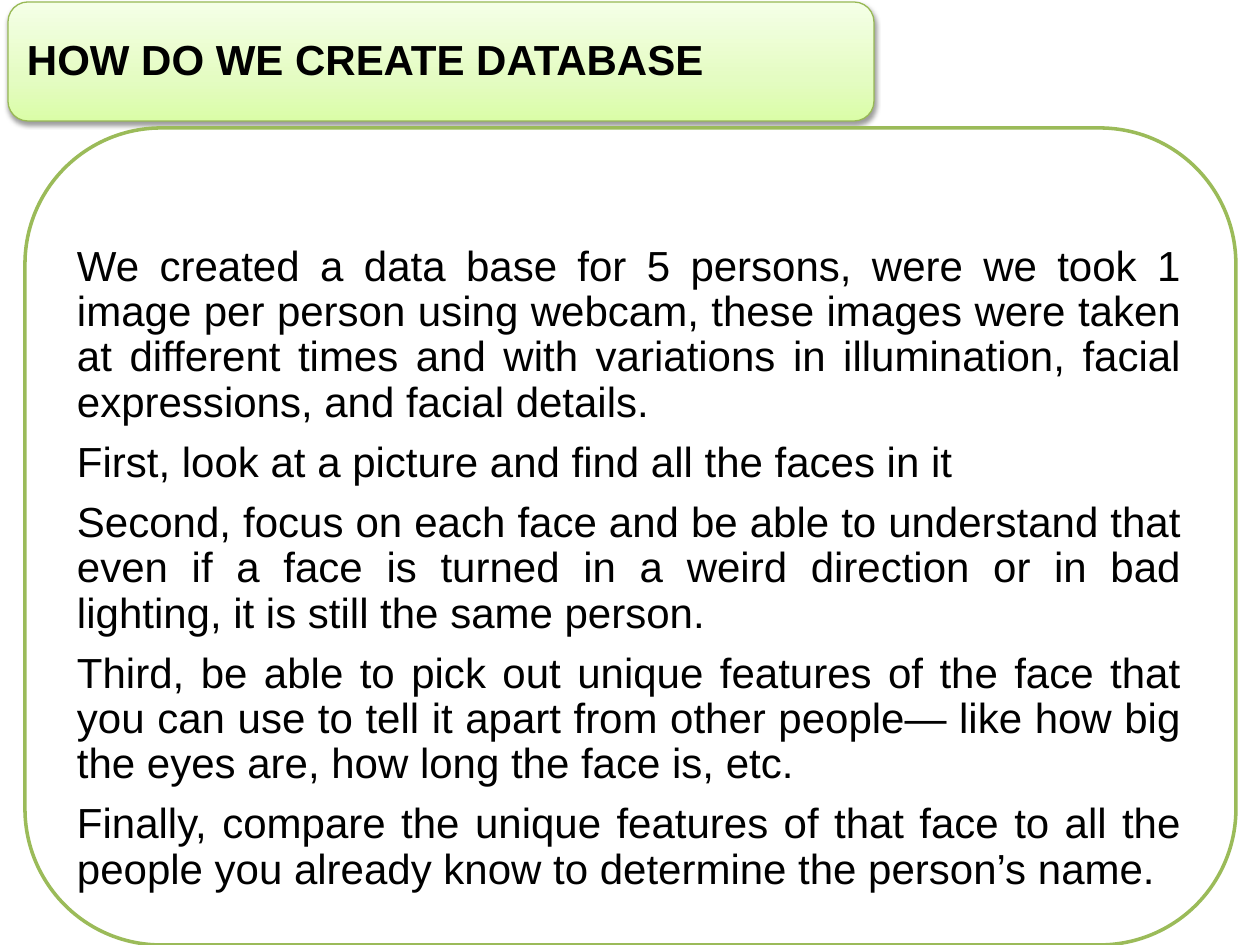
"""Build the slide that explains how the face database is created."""
from copy import deepcopy

from lxml import etree
from pptx import Presentation
from pptx.dml.color import RGBColor
from pptx.enum.shapes import MSO_SHAPE
from pptx.enum.text import MSO_ANCHOR, MSO_AUTO_SIZE, PP_ALIGN
from pptx.oxml.ns import qn
from pptx.util import Pt

ROUNDED = MSO_SHAPE.ROUNDED_RECTANGLE
TOP, MIDDLE = MSO_ANCHOR.TOP, MSO_ANCHOR.MIDDLE
LEFT, JUSTIFY = PP_ALIGN.LEFT, PP_ALIGN.JUSTIFY
NO_AUTOFIT = MSO_AUTO_SIZE.NONE

HEADING = "HOW DO WE CREATE DATABASE"
STEPS = [
    "We created a data base for 5 persons, were we took 1 image per person using "
    "webcam, these images were taken at different times and with variations in "
    "illumination, facial expressions, and facial details.",
    "First, look at a picture and find all the faces in it",
    "Second, focus on each face and be able to understand that even if a face is "
    "turned in a weird direction or in bad lighting, it is still the same person.",
    "Third, be able to pick out unique features of the face that you can use to "
    "tell it apart from other people— like how big the eyes are, how long the "
    "face is, etc.",
    "Finally, compare the unique features of that face to all the people you "
    "already know to determine the person’s name.",
]
COLORS = {"text": "000000", "shadow": "000000", "panel": "FFFFFF",
          "panel_line": "9BBB59", "banner_line": "98B955"}
BANNER_STOPS = [(0, "DAFDA7"), (35, "E4FCC2"), (100, "F5FFE7")]

EMU_PER_PX = 914400 / 126
SLIDE_SIZE = (1260, 945)
BANNER_BOX = (8, 2, 866, 119)
HEADING_BOX = (14, 8, 854, 107)
PANEL_BOX = (25, 128, 1211, 817)
STEPS_BOX = (64, 245, 1130, 661)
INSET = 13
FONT, TEXT_SIZE, LINE_SPACING, SPACE_AFTER = "Arial", 24, 0.9, 8.4


def px(length):
    return round(length * EMU_PER_PX)


def rgb(name):
    return RGBColor.from_string(COLORS[name])


def add_rounded(slide, box, line, width):
    shape = slide.shapes.add_shape(ROUNDED, *map(px, box))
    shape.shadow.inherit = False
    shape.line.color.rgb = rgb(line)
    shape.line.width = Pt(width)
    return shape


def fill_gradient(shape, stops, angle):
    shape.fill.gradient()
    shape.fill.gradient_angle = angle
    stop_list = next(shape._element.iter(qn("a:gsLst")))
    stop_list.append(deepcopy(stop_list[0]))
    for stop, (position, color) in zip(shape.fill.gradient_stops, stops):
        stop.position = position / 100
        stop.color.rgb = RGBColor.from_string(color)


def cast_shadow(shape, color, alpha, blur, distance, angle):
    effects = shape._element.spPr.find(qn("a:effectLst"))
    shadow = etree.SubElement(
        effects, qn("a:outerShdw"), blurRad=str(Pt(blur)), dist=str(Pt(distance)),
        dir=str(angle * 60000), rotWithShape="0")
    tint = etree.SubElement(shadow, qn("a:srgbClr"), val=COLORS[color])
    etree.SubElement(tint, qn("a:alpha"), val=str(alpha * 1000))


def write_text(holder, paragraphs, box, align=LEFT, anchor=TOP, bold=False,
               inset_top=0):
    holder.left, holder.top, holder.width, holder.height = map(px, box)
    frame = holder.text_frame
    frame.word_wrap = True
    frame.auto_size = NO_AUTOFIT
    frame.vertical_anchor = anchor
    frame.margin_left = frame.margin_right = px(INSET)
    frame.margin_top = frame.margin_bottom = px(inset_top)
    frame.text = "\n".join(paragraphs)
    for paragraph in frame.paragraphs:
        properties = paragraph._p.get_or_add_pPr()
        properties.set("marL", "0")
        properties.set("indent", "0")
        etree.SubElement(properties, qn("a:buNone"))
        paragraph.alignment = align
        paragraph.line_spacing = LINE_SPACING
        paragraph.space_before = Pt(0)
        paragraph.space_after = Pt(SPACE_AFTER)
        for run in paragraph.runs:
            run.font.name = FONT
            run.font.size = Pt(TEXT_SIZE)
            run.font.bold = bold
            run.font.color.rgb = rgb("text")


def main():
    deck = Presentation()
    deck.slide_width, deck.slide_height = map(px, SLIDE_SIZE)
    slide = deck.slides.add_slide(deck.slide_layouts[1])
    heading, steps = slide.placeholders

    banner = add_rounded(slide, BANNER_BOX, "banner_line", 0.75)
    fill_gradient(banner, BANNER_STOPS, 90)
    cast_shadow(banner, "shadow", alpha=38, blur=3.1, distance=1.6, angle=90)
    slide.shapes._spTree.append(heading._element)
    write_text(heading, [HEADING], HEADING_BOX, anchor=MIDDLE, bold=True,
               inset_top=INSET)

    panel = add_rounded(slide, PANEL_BOX, "panel_line", 2)
    panel.fill.solid()
    panel.fill.fore_color.rgb = rgb("panel")
    slide.shapes._spTree.append(steps._element)
    write_text(steps, STEPS, STEPS_BOX, align=JUSTIFY)

    deck.save("out.pptx")


if __name__ == "__main__":
    main()
